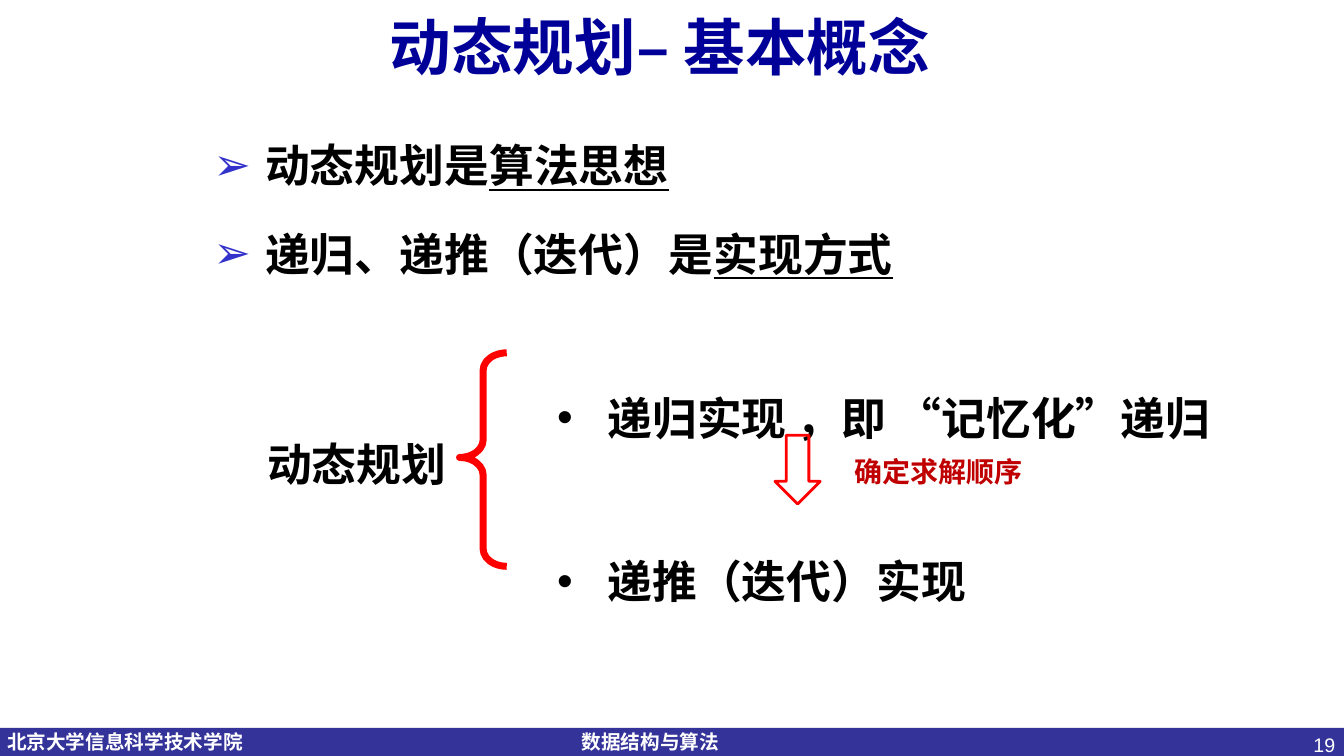
from lxml.etree import SubElement as Sub
from pptx import Presentation
from pptx.dml.color import RGBColor
from pptx.enum.shapes import MSO_SHAPE as Kind
from pptx.enum.text import MSO_ANCHOR as Anchor, MSO_AUTO_SIZE as Auto, PP_ALIGN as Align
from pptx.oxml.ns import qn
from pptx.util import Cm, Pt

SANS = "Noto Sans CJK SC"
LEAD = 1.27  # line height of single lines, in font sizes


def rgb(code):
    return RGBColor.from_string(code)


class Page:
    """The current slide and its style."""
    ink, red, blue = "000000", "FF0000", "333399"

    def __init__(self, deck):
        self.slide = deck.slides.add_slide(deck.slide_layouts[5])
        self.shapes = self.slide.shapes

    def font(self, par, size, color, face=SANS, bold=True):
        font = par.font
        font.size, font.bold, font.name = Pt(size), bold, face
        font.color.rgb = rgb(color)
        latin = par._p.pPr.find(qn("a:defRPr")).find(qn("a:latin"))
        east = latin.makeelement(qn("a:ea"), {"typeface": SANS})
        latin.addnext(east)

    def title(self, text, box, size, color):
        head = self.shapes.title
        head.left, head.top, head.width, head.height = map(Cm, box)
        frame = head.text_frame
        frame.text = text
        frame.word_wrap, frame.auto_size = True, Auto.NONE
        frame.vertical_anchor = Anchor.MIDDLE
        frame.margin_left, frame.margin_right = Cm(0.51), Cm(0.76)
        par = frame.paragraphs[0]
        par.alignment = Align.CENTER
        self.font(par, size, color)

    def frame(self, box, wrap=True):
        frame = self.shapes.add_textbox(*map(Cm, box)).text_frame
        frame.word_wrap = wrap
        return frame

    def label(self, text, box, size, color, face=SANS, bold=True,
              wrap=True, left=0.25, align=Align.LEFT):
        frame = self.frame(box, wrap)
        frame.margin_left = Cm(left)
        par = frame.paragraphs[0]
        par.text, par.alignment = text, align
        self.font(par, size, color, face, bold)
        par.line_spacing = Pt(round(size * LEAD, 1))

    def bullets(self, items, box, mark, tint, indent, lead, gap=0):
        """Each item is a pair: plain text and underlined text."""
        frame = self.frame(box)
        for i, (plain, under) in enumerate(items):
            par = frame.add_paragraph() if i else frame.paragraphs[0]
            par.add_run().text = plain
            if under:
                run = par.add_run()
                run.text, run.font.underline = under, True
            prop = par._p.get_or_add_pPr()
            prop.set("marL", str(Cm(indent)))
            prop.set("indent", str(-Cm(indent)))
            Sub(Sub(prop, qn("a:buClr")), qn("a:srgbClr"), val=tint)
            Sub(prop, qn("a:buFont"), typeface="Arial")
            Sub(prop, qn("a:buChar"), char=mark)
            self.font(par, 32, self.ink)
            par.line_spacing = Pt(lead)
            par.space_before = Pt(gap if i else 0)

    def shape(self, kind, box, fill=None, line=None, width=1):
        shape = self.shapes.add_shape(kind, *map(Cm, box))
        shape.shadow.inherit = False
        if fill:
            shape.fill.solid()
            shape.fill.fore_color.rgb = rgb(fill)
        else:
            shape.fill.background()
        if line:
            shape.line.color.rgb = rgb(line)
            shape.line.width = Pt(width)
        else:
            shape.line.fill.background()
        return shape


def main():
    deck = Presentation()
    deck.slide_width, deck.slide_height = Cm(33.87), Cm(19.05)
    page = Page(deck)

    # Footer
    page.shape(Kind.RECTANGLE, (0, 18.34, 33.87, 0.71), fill=page.blue)
    for text, left, width in (("北京大学信息科学技术学院", 0.18, 6.25),
                              ("数据结构与算法", 14.66, 3.76)):
        page.label(text, (left, 18.24, width, 0.86), 14, "FFFFFF", "Arial",
                   wrap=False, left=0)
    page.label("19", (26, 18.31, 7.9, 1.32), 14, "FFFFFF", "Arial",
               bold=False, align=Align.RIGHT)

    # Title and main points
    page.title("动态规划– 基本概念 ", (0, 0, 33.87, 2.31), 44, "000099")
    page.bullets([("动态规划是", "算法思想"),
                  ("递归、递推（迭代）是", "实现方式")],
                 (5.13, 2.72, 26.82, 5.31), "➢", "3333CC", 1.3, 56.5, 6.5)

    # Two ways to implement
    page.bullets([("递归实现 ，即 “记忆化”递归", ""), ("递推（迭代）实现", "")],
                 (13.79, 6.96, 17.81, 8.46), "•", page.ink, 1.27, 116.5)
    page.label("动态规划", (6.48, 10.8, 5.74, 1.63), 32, page.ink)
    page.shape(Kind.DOWN_ARROW, (19.53, 10.97, 1.14, 1.73),
               line=page.red, width=2)
    page.label("确定求解顺序", (21.29, 11.28, 5.84, 1.12), 20, "C00000",
               "Times New Roman")
    brace = page.shape(Kind.RIGHT_BRACE, (11.58, 8.89, 1.19, 5.38),
                       line=page.red, width=5)
    brace.rotation = 180
    brace.adjustments[0], brace.adjustments[1] = 0.37, 0.51

    deck.save("out.pptx")


if __name__ == "__main__":
    main()
